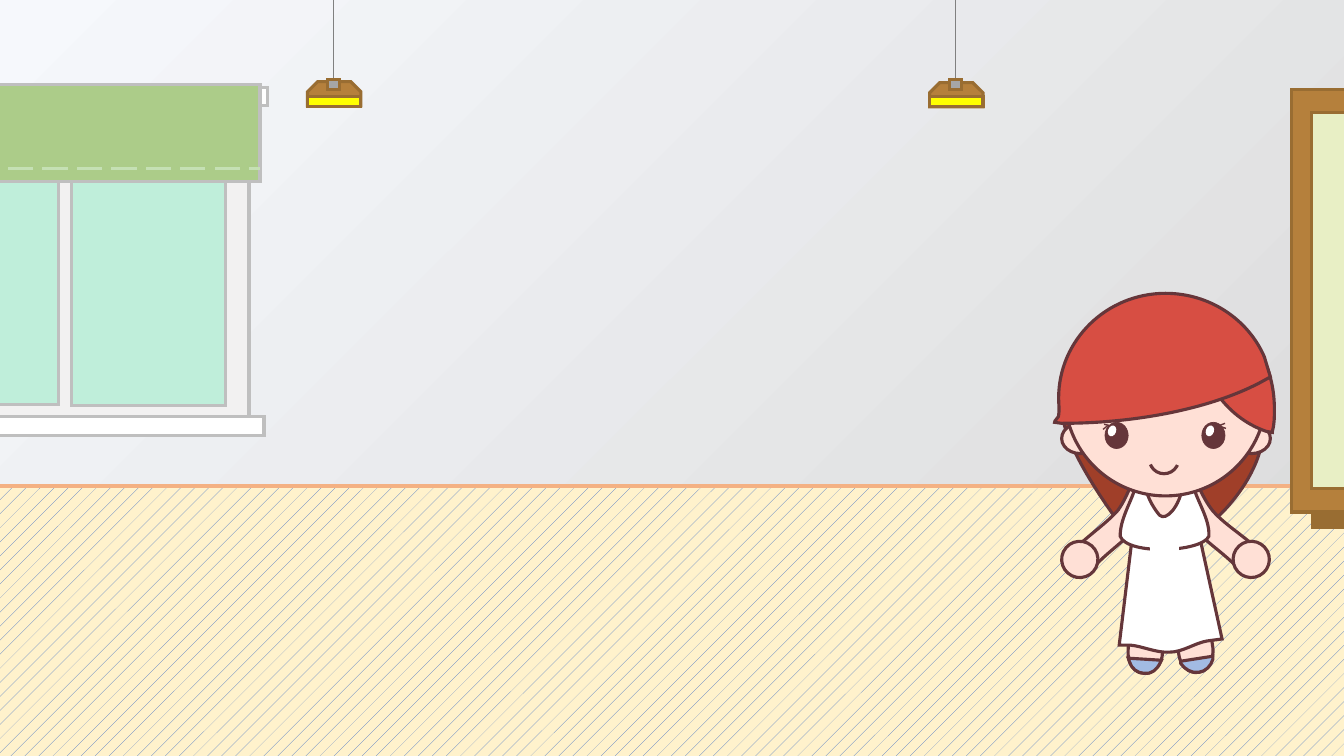
from math import cos, radians, sin

from lxml.etree import SubElement
from pptx import Presentation
from pptx.dml.color import RGBColor
from pptx.enum.dml import MSO_LINE, MSO_PATTERN
from pptx.enum.shapes import MSO_CONNECTOR, MSO_SHAPE
from pptx.oxml.ns import qn
from pptx.util import Inches, Pt

RECT, OVAL, LINE = MSO_SHAPE.RECTANGLE, MSO_SHAPE.OVAL, "line"
INK, SKIN, WHITE, RED, SHOE = "65363A", "FFE0D6", "FFFFFF", "D74E43", "A2BBE3"
WOOD, DARK_WOOD, FRAME, GLASS = "B5803C", "996D32", "BFBFBF", "BFEEDA"

room = Presentation()
room.slide_width, room.slide_height = Inches(13.33), Inches(7.5)
CELL = room.slide_height / 7.5  # the grid has 7.5 rows of square cells
slide = room.slides.add_slide(room.slide_layouts[6])


def add(shapes, form, where, fill=None, line=INK, width=2.25, turn=0):
    """Add a preset in a frame, or a line between two ends."""
    lengths = [round(value * CELL) for value in where]
    if form == LINE:
        item = shapes.add_connector(MSO_CONNECTOR.STRAIGHT, *lengths)
    else:
        item = shapes.add_shape(form, *lengths)
        item.shadow.inherit = False
        item.rotation = turn
        if fill:
            item.fill.solid()
            item.fill.fore_color.rgb = RGBColor.from_string(fill)
        else:
            item.fill.background()
    if line:
        item.line.color.rgb = RGBColor.from_string(line)
        item.line.width = Pt(width)
        SubElement(item._element.spPr.find(qn("a:ln")), qn("a:miter"), lim="800000")
    else:
        item.line.fill.background()
    if form == LINE:
        SubElement(item._element.spPr, qn("a:effectLst"))
    return item


def add_outline(shapes, frame, turn, steps, fill):
    """Add a closed outline: steps of 2 numbers are lines, of 6 are curves."""
    left, top, wide, high = frame
    middle_x, middle_y = left + wide / 2, top + high / 2
    c, s = cos(radians(turn)), sin(radians(turn))
    upright = []
    for step in steps:
        pairs = [(x - middle_x, y - middle_y) for x, y in zip(step[::2], step[1::2])]
        upright.append([(round((x * c + y * s + wide / 2) * 1000),
                         round((y * c - x * s + high / 2) * 1000)) for x, y in pairs])
    builder = shapes.build_freeform(*upright[0][0], scale=CELL / 1000)
    builder.add_line_segments([pairs[-1] for pairs in upright[1:]], close=True)
    item = builder.convert_to_shape()
    route = item._element.spPr.find(".//" + qn("a:path"))
    route.set("w", str(round(wide * 1000)))
    route.set("h", str(round(high * 1000)))
    for old in list(route):
        route.remove(old)
    for i, pairs in enumerate(upright):
        tag = "a:moveTo" if i == 0 else "a:lnTo" if len(pairs) == 1 else "a:cubicBezTo"
        move = SubElement(route, qn(tag))
        for x, y in pairs:
            SubElement(move, qn("a:pt"), x=str(x), y=str(y))
    SubElement(route, qn("a:close"))
    item.left, item.top, item.width, item.height = [round(v * CELL) for v in frame]
    item.rotation = turn
    item.fill.solid()
    item.fill.fore_color.rgb = RGBColor.from_string(fill)
    item.line.color.rgb = RGBColor.from_string(INK)
    item.line.width = Pt(2.25)
    SubElement(item._element.spPr.find(qn("a:ln")), qn("a:miter"), lim="800000")
    item.shadow.inherit = False


# Wall
wall = slide.background.fill
wall.gradient()
wall.gradient_angle = 315
for stop, shade in zip(wall.gradient_stops, ("F6F8FC", "D9D9D9")):
    stop.color.rgb = RGBColor.from_string(shade)

# Floor
floor = add(slide.shapes, RECT, (-8.36, 4.82, 31.54, 2.95), "FFF2CC", "F4B183", 3)
floor.fill.patterned()
floor.fill.pattern = MSO_PATTERN.PERCENT_5
floor.fill.fore_color.rgb = RGBColor.from_string("4472C4")
floor.fill.back_color.rgb = RGBColor.from_string("FFF2CC")

# Hanging lamps
for left, shade_top in ((9.22, 0.82), (3.05, 0.81)):
    lamp = slide.shapes.add_group_shape().shapes
    add(lamp, LINE, (left + 0.26, -0.59, left + 0.26, 0.89), line="808080", width=0.5)
    shade = add(lamp, MSO_SHAPE.SNIP_2_SAME_RECTANGLE, (left, shade_top, 0.53, 0.24),
                WOOD, DARK_WOOD)
    shade.adjustments[0], shade.adjustments[1] = 0.42, 0
    add(lamp, RECT, (left, 0.96, 0.53, 0.1), "FFFF00", DARK_WOOD)
    add(lamp, RECT, (left + 0.2, 0.79, 0.12, 0.1), "A6A6A6", DARK_WOOD)

# Window (rail, frame, sill, panes, blind) and board (foot, frame, face)
window = slide.shapes.add_group_shape().shapes
board = slide.shapes.add_group_shape().shapes
for group, where, fill, edge in (
    (window, (-1.37, 0.87, 4.02, 0.18), WHITE, FRAME),
    (window, (-1.18, 1.03, 3.65, 3.18), "F2F1F1", FRAME),
    (window, (-1.34, 4.13, 3.96, 0.19), WHITE, FRAME),
    (window, (-0.95, 1.26, 1.53, 2.75), GLASS, FRAME),
    (window, (0.71, 1.27, 1.53, 2.75), GLASS, FRAME),
    (window, (-1.29, 0.84, 3.87, 0.96), "ACCC89", FRAME),
    (board, (13.02, 5.03, 0.9, 0.2), DARK_WOOD, DARK_WOOD),
    (board, (12.81, 0.89, 2.39, 4.19), WOOD, DARK_WOOD),
    (board, (13.01, 1.12, 1, 3.73), "E8EFC5", DARK_WOOD),
):
    add(group, RECT, where, fill, edge)
seam = add(window, LINE, (-1.29, 1.67, 2.58, 1.67), line="C5E0B4")
seam.line.dash_style = MSO_LINE.LONG_DASH

# Hair
add_outline(slide.shapes, (10.5, 3.32, 2, 2.24), 7.7, [
    (10.54, 4.09), (10.56, 3.71, 11.06, 3.25, 11.55, 3.32), (11.75, 3.34),
    (12.24, 3.41, 12.59, 3.86, 12.52, 4.36), (12.52, 4.36),
    (12.46, 4.85, 11.84, 5.51, 11.35, 5.45),
    (11.45, 5.56), (11.33, 5.56, 10.52, 4.46, 10.54, 4.09)], "A03F29")

# Legs with shoes
for turn, leg_frame, leg, shoe_frame, shoe in (
    (352.2, (11.64, 5.63, 0.34, 1.05),
     [(11.91, 5.61), (11.57, 5.65), (11.69, 6.48), (11.69, 6.48),
      (11.7, 6.6, 11.79, 6.69, 11.89, 6.67), (11.98, 6.66, 12.04, 6.55, 12.03, 6.43)],
     (11.71, 6.53, 0.33, 0.14),
     [(12.03, 6.51), (11.71, 6.56), (11.71, 6.58), (11.75, 6.64, 11.82, 6.68, 11.89, 6.67),
      (11.96, 6.66, 12.01, 6.61, 12.03, 6.54)]),
    (2.9, (11.2, 5.63, 0.34, 1.05),
     [(11.23, 5.62), (11.57, 5.64), (11.53, 6.47), (11.53, 6.47),
      (11.53, 6.59, 11.44, 6.69, 11.35, 6.68), (11.25, 6.68, 11.18, 6.58, 11.19, 6.45)],
     (11.19, 6.54, 0.33, 0.14),
     [(11.19, 6.53), (11.52, 6.55), (11.51, 6.57), (11.48, 6.64, 11.42, 6.69, 11.35, 6.68),
      (11.28, 6.68, 11.22, 6.63, 11.2, 6.56)]),
):
    limb = slide.shapes.add_group_shape().shapes
    add_outline(limb, leg_frame, turn, leg, SKIN)
    add_outline(limb, shoe_frame, turn, shoe, SHOE)

# Arms with hands
for frame, turn, arm, hand_left, hand_turn in (
    ((11.82, 4.45, 0.35, 1.43), 319.6,
     [(11.55, 4.77), (11.51, 4.72, 11.51, 4.63, 11.57, 4.59), (11.57, 4.59),
      (11.62, 4.54, 11.71, 4.55, 11.75, 4.6), (11.87, 4.75, 11.91, 4.92, 12.03, 5.07),
      (12.16, 5.22, 12.38, 5.34, 12.51, 5.49), (12.55, 5.54, 12.55, 5.63, 12.49, 5.67),
      (12.49, 5.67), (12.44, 5.72, 12.35, 5.71, 12.3, 5.66),
      (12.17, 5.51, 11.96, 5.38, 11.83, 5.23), (11.55, 4.77)], 12.23, 17.4),
    ((10.94, 4.43, 0.35, 1.43), 38.5,
     [(11.55, 4.74), (11.6, 4.69, 11.59, 4.6, 11.53, 4.56), (11.53, 4.56),
      (11.47, 4.51, 11.39, 4.52, 11.34, 4.58), (11.23, 4.74, 11.2, 4.9, 11.09, 5.06),
      (10.96, 5.21, 10.75, 5.34, 10.62, 5.49), (10.58, 5.55, 10.58, 5.63, 10.64, 5.67),
      (10.64, 5.67), (10.7, 5.72, 10.78, 5.71, 10.83, 5.65),
      (10.95, 5.5, 11.16, 5.37, 11.29, 5.21), (11.55, 4.74)], 10.53, 340.7),
):
    limb = slide.shapes.add_group_shape().shapes
    add_outline(limb, frame, turn, arm, SKIN)
    add(limb, OVAL, (hand_left, 5.37, 0.36, 0.36), SKIN, turn=hand_turn)

# Neck behind the dress, skirt, bodice, open waist, neckline
neck = [(11.4, 4.75), (11.41, 4.65, 11.52, 4.49, 11.62, 4.51),
        (11.72, 4.53, 11.78, 4.66, 11.75, 4.81), (11.73, 4.96, 11.6, 5.13, 11.53, 5.06),
        (11.47, 4.99, 11.38, 4.84, 11.4, 4.75)]
add_outline(slide.shapes, (11.39, 4.5, 0.36, 0.57), 10.1, neck, SKIN)
dress = slide.shapes.add_group_shape().shapes
add_outline(dress, (11.07, 4.89, 1.02, 1.58), 357, [
    (11.28, 4.91), (11.8, 4.88), (12.12, 6.34), (11.97, 6.36),
    (11.85, 6.38, 11.73, 6.47, 11.6, 6.47), (11.47, 6.48, 11.33, 6.41, 11.21, 6.4),
    (11.1, 6.4), (11.28, 4.91)], WHITE)
add_outline(dress, (11.11, 4.84, 0.88, 0.61), 0, [
    (11.26, 4.84), (11.84, 4.84), (11.89, 5, 12, 5.16, 11.99, 5.32),
    (11.92, 5.48, 11.18, 5.51, 11.11, 5.32), (11.11, 5.15, 11.21, 5, 11.26, 4.84)], WHITE)
add(dress, RECT, (11.41, 5.28, 0.28, 0.59), WHITE, WHITE, 1)
neckline = [[v + (0.05 if i % 2 else -0.03) for i, v in enumerate(step)] for step in neck]
add_outline(slide.shapes, (11.36, 4.55, 0.36, 0.57), 10.1, neckline, SKIN)

# Ears and face
head = slide.shapes.add_group_shape().shapes
for where in ((12.23, 4.2, 0.37, 0.3), (10.53, 4.2, 0.37, 0.3), (10.56, 2.92, 2, 2)):
    add(head, OVAL, where, SKIN)

# Eyes with glints and lashes
for left, glint_left, lashes in (
    (11.92, 11.96, ((12.07, 4.23, 12.15, 4.2), (12.07, 4.22, 12.16, 4.25))),
    (10.96, 10.99, ((10.94, 4.26, 10.99, 4.22), (10.95, 4.21, 11, 4.22))),
):
    eye = slide.shapes.add_group_shape().shapes
    add(eye, OVAL, (left, 4.19, 0.23, 0.26), INK, INK, 0.5)
    add(eye, OVAL, (glint_left, 4.22, 0.08, 0.11), WHITE, None, turn=19.6)
    for lash in lashes:
        add(eye, LINE, lash, width=1)

# Red cap: side flap, then crown
add_outline(slide.shapes, (11.86, 2.99, 0.78, 1.3), 0, [
    (11.89, 2.99), (11.95, 3.01), (12.35, 3.15, 12.64, 3.56, 12.64, 4.06),
    (12.64, 4.13, 12.64, 4.21, 12.62, 4.28), (12.62, 4.29), (12.56, 4.28),
    (12.15, 4.14, 11.86, 3.72, 11.86, 3.23), (11.86, 3.15, 11.87, 3.08, 11.88, 3.01)], RED)
add_outline(slide.shapes, (10.46, 2.91, 2.15, 1.29), 0, [
    (11.56, 2.91), (12, 2.91, 12.38, 3.17, 12.54, 3.54), (12.6, 3.74), (12.49, 3.8),
    (12.03, 4.04, 11.31, 4.2, 10.53, 4.2), (10.46, 4.19),
    (10.45, 4.18, 10.51, 4.13, 10.5, 4.12), (10.51, 4.06, 10.5, 4.02, 10.5, 3.95),
    (10.5, 3.37, 10.98, 2.91, 11.56, 2.91)], RED)

# Smile
smile = add(slide.shapes, MSO_SHAPE.ARC, (11.4, 4.41, 0.29, 0.29))
smile.adjustments[0], smile.adjustments[1] = 14.32, 95.02

room.save("out.pptx")
